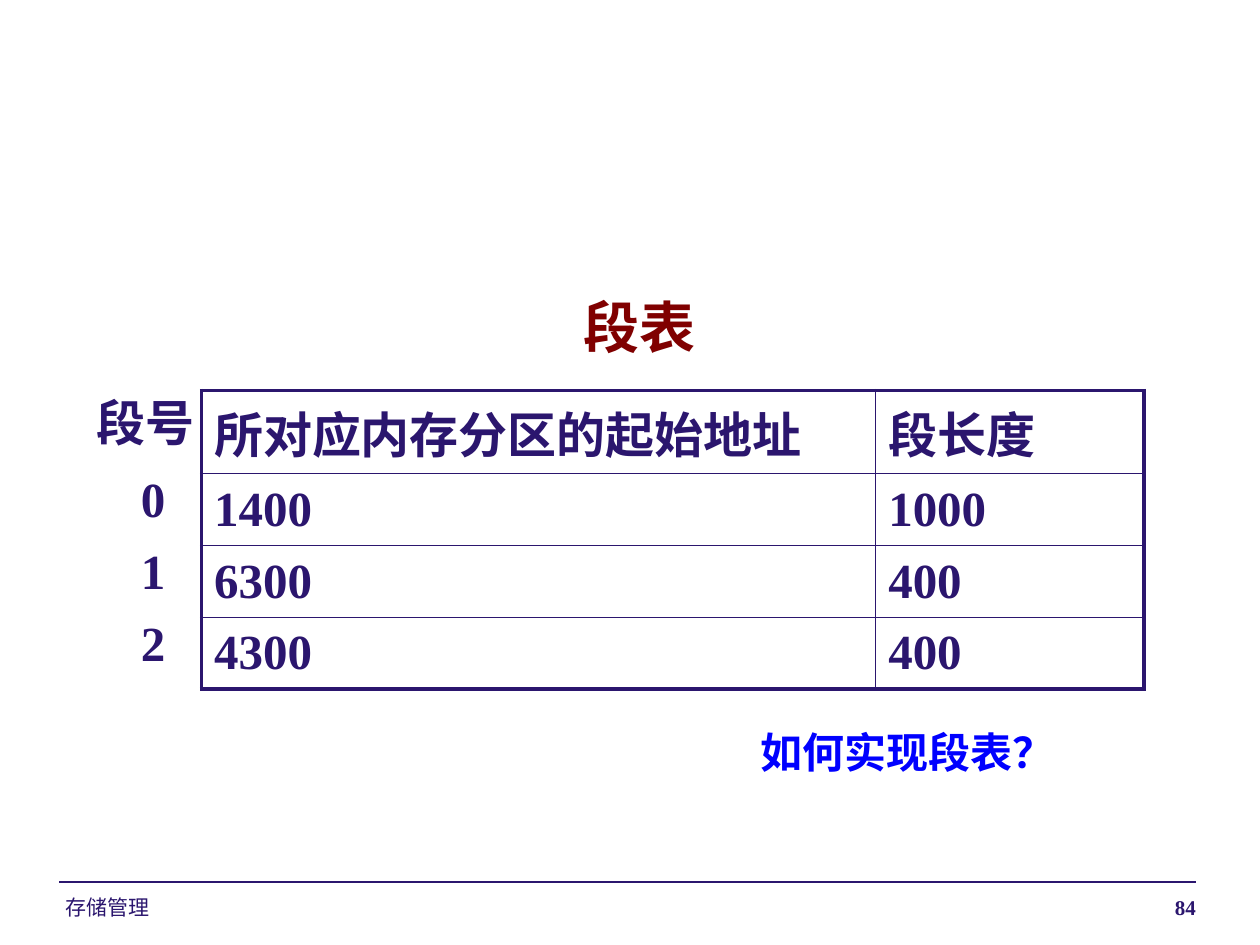
"""Build the segment table slide."""
from lxml import etree
from pptx import Presentation
from pptx.dml.color import RGBColor
from pptx.enum.shapes import MSO_CONNECTOR
from pptx.enum.text import MSO_ANCHOR, PP_ALIGN
from pptx.oxml.ns import qn
from pptx.util import Inches, Pt

LEFT, RIGHT = PP_ALIGN.LEFT, PP_ALIGN.RIGHT
MIDDLE = MSO_ANCHOR.MIDDLE
STRAIGHT = MSO_CONNECTOR.STRAIGHT
NAVY = RGBColor(0x2B, 0x16, 0x6E)
MAROON = RGBColor(0x80, 0x00, 0x00)
BLUE = RGBColor(0x00, 0x00, 0xFF)
SERIF, SANS, CJK = "Times New Roman", "Arial", "Noto Sans CJK SC"

SEGMENTS = [
    ("所对应内存分区的起始地址", "段长度"),
    ("1400", "1000"),
    ("6300", "400"),
    ("4300", "400"),
]
TABLE_LEFT, TABLE_TOP = 1.6, 3.1
COLUMNS = [5.35, 2.13]
HEADER_HEIGHT, ROW_HEIGHT = 0.66, 0.57
THICK, THIN = 2.25, 1

LABELS = [
    ("段号", (0.67, 3.07, 0.98, 0.57), 28, NAVY),
    ("段表", (4.53, 2.27, 1.09, 0.63), 32, MAROON),
    ("如何实现段表？", (5.94, 5.72, 2.55, 0.5), 24, BLUE),
] + [
    (str(i), (1.02, 3.67 + i * ROW_HEIGHT, 0.4, 0.57), 28, NAVY)
    for i in range(len(SEGMENTS) - 1)
]


def style(p, size, color, name=SERIF, bold=True):
    p.font.size, p.font.name, p.font.bold = Pt(size), name, bold
    p.font.color.rgb = color


def add_text(s, text, box, size, color, name=SERIF, bold=True, align=LEFT, wrap=False):
    tf = s.shapes.add_textbox(*map(Inches, box)).text_frame
    tf.word_wrap = wrap
    p = tf.paragraphs[0]
    p.text, p.alignment = text, align
    style(p, size, color, name, bold)


def set_borders(cell, widths):
    tcPr = cell._tc.get_or_add_tcPr()
    for i, (side, width) in enumerate(widths.items()):
        ln = etree.Element(qn(f"a:ln{side}"), w=str(Pt(width)))
        fill = etree.SubElement(ln, qn("a:solidFill"))
        etree.SubElement(fill, qn("a:srgbClr"), val=str(NAVY))
        tcPr.insert(i, ln)


def add_segment_table(s):
    heights = [HEADER_HEIGHT] + [ROW_HEIGHT] * (len(SEGMENTS) - 1)
    box = TABLE_LEFT, TABLE_TOP, sum(COLUMNS), sum(heights)
    table = s.shapes.add_table(len(heights), len(COLUMNS), *map(Inches, box)).table
    table.first_row = table.horz_banding = False
    for column, width in zip(table.columns, COLUMNS):
        column.width = Inches(width)
    for row, height in zip(table.rows, heights):
        row.height = Inches(height)
    last_row, last_col = len(heights) - 1, len(COLUMNS) - 1
    for r, values in enumerate(SEGMENTS):
        for c, value in enumerate(values):
            cell = table.cell(r, c)
            cell.text, cell.vertical_anchor = value, MIDDLE
            cell.fill.background()
            style(cell.text_frame.paragraphs[0], 28, NAVY, SERIF if r else CJK)
            set_borders(cell, {
                "L": THIN if c else THICK,
                "R": THICK if c == last_col else THIN,
                "T": THIN if r else THICK,
                "B": THICK if r == last_row else THIN,
            })


def add_footer(s):
    rule = s.shapes.add_connector(STRAIGHT, *map(Inches, (0.47, 7, 9.49, 7)))
    rule.line.color.rgb, rule.line.width = NAVY, Pt(0.75)
    etree.SubElement(rule._element.spPr, qn("a:effectLst"))
    add_text(s, "存储管理", (0.42, 7.05, 2.33, 0.24), 12, NAVY, SANS, False, wrap=True)
    add_text(s, "84", (6.42, 7.05, 3.17, 0.24), 12, NAVY, align=RIGHT, wrap=True)


def main():
    prs = Presentation()
    prs.slide_width, prs.slide_height = Inches(10), Inches(7.5)
    s = prs.slides.add_slide(prs.slide_layouts[6])
    add_footer(s)
    add_segment_table(s)
    for label in LABELS:
        add_text(s, *label)
    prs.save("out.pptx")


if __name__ == "__main__":
    main()
